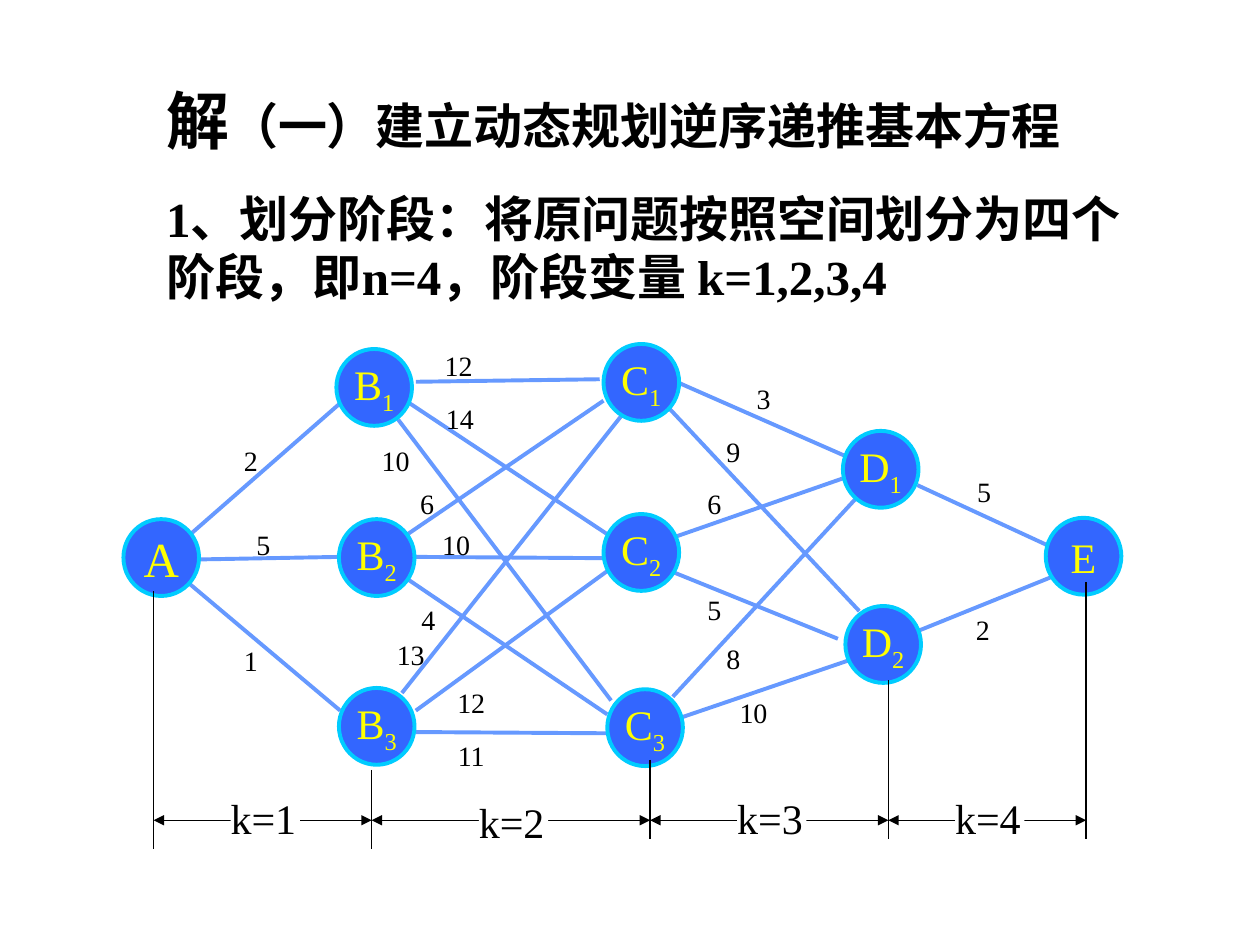
from dataclasses import dataclass
from itertools import pairwise

from lxml.etree import SubElement
from pptx import Presentation
from pptx.dml.color import RGBColor
from pptx.enum.shapes import MSO_CONNECTOR, MSO_SHAPE
from pptx.enum.text import MSO_ANCHOR, PP_ALIGN
from pptx.oxml.ns import qn
from pptx.util import Inches, Pt


@dataclass(frozen=True)
class Theme:
    font: str = "Times New Roman"
    black: RGBColor = RGBColor(0, 0, 0)
    white: RGBColor = RGBColor(255, 255, 255)
    edge: RGBColor = RGBColor(0x66, 0x99, 0xFF)
    node_fill: RGBColor = RGBColor(0x33, 0x66, 0xFF)
    node_line: RGBColor = RGBColor(0x00, 0xCC, 0xFF)
    node_text: RGBColor = RGBColor(0xFF, 0xFF, 0x00)
    heading_size: Pt = Pt(36)
    body_size: Pt = Pt(28)
    node_size: Pt = Pt(24)
    cost_size: Pt = Pt(16)
    thick: Pt = Pt(2.25)
    thin: Pt = Pt(0.75)


THEME = Theme()


def add_line(shapes, x1, y1, x2, y2, color, width):
    line = shapes.add_connector(
        MSO_CONNECTOR.STRAIGHT, Inches(x1), Inches(y1), Inches(x2), Inches(y2))
    line.line.color.rgb = color
    line.line.width = width
    SubElement(line._element.spPr, qn("a:effectLst"))
    return line


def style_text(shape, size, color, align, margins=(0, 0)):
    """Set margins (sides, top and bottom) and the font of every paragraph."""
    frame = shape.text_frame
    frame.margin_left = frame.margin_right = Inches(margins[0])
    frame.margin_top = frame.margin_bottom = Inches(margins[1])
    for paragraph in frame.paragraphs:
        paragraph.alignment = align
        paragraph.font.name = THEME.font
        paragraph.font.size = size
        paragraph.font.color.rgb = color
    return frame


presentation = Presentation()
presentation.slide_width = Inches(10)
presentation.slide_height = Inches(7.5)
slide = presentation.slides.add_slide(presentation.slide_layouts[6])

# Each edge: start, end, cost, left and top of the cost label
edges = [
    ((1.5, 4.25), (2.7, 3.2), "2", 1.83, 3.52),
    ((1.59, 4.44), (2.7, 4.42), "5", 1.93, 4.19),
    ((1.5, 4.63), (2.7, 5.64), "1", 1.83, 5.11),
    ((3.3, 3.03), (4.76, 3.01), "12", 3.48, 2.77),
    ((3.22, 3.18), (4.85, 4.26), "14", 3.49, 3.19),
    ((3.16, 3.33), (4.85, 5.56), "10", 2.98, 3.52),
    ((3.22, 4.25), (4.79, 3.18), "6", 3.23, 3.86),
    ((3.3, 4.42), (4.79, 4.43), "10", 3.46, 4.19),
    ((3.24, 4.6), (4.82, 5.67), "4", 3.24, 4.78),
    ((3.19, 5.5), (4.94, 3.29), "13", 3.1, 5.06),
    ((3.3, 5.64), (4.85, 4.51), "12", 3.58, 5.44),
    ((3.3, 5.81), (4.82, 5.82), "11", 3.58, 5.86),
    ((5.39, 3.04), (6.71, 3.62), "3", 5.9, 3.03),
    ((5.31, 3.24), (6.82, 4.85), "9", 5.66, 3.45),
    ((5.36, 4.26), (6.71, 3.79), "6", 5.51, 3.86),
    ((5.34, 4.54), (6.65, 5.07), "5", 5.51, 4.7),
    ((5.34, 5.53), (6.79, 3.96), "8", 5.66, 5.09),
    ((5.39, 5.7), (6.74, 5.24), "10", 5.82, 5.52),
    ((7.28, 3.85), (8.34, 4.34), "5", 7.65, 3.77),
    ((7.28, 5.01), (8.37, 4.57), "2", 7.64, 4.86),
]
nodes = [
    ("A", "", 0.98, 4.12),
    ("B", "1", 2.67, 2.77), ("B", "2", 2.69, 4.12), ("B", "3", 2.69, 5.46),
    ("C", "1", 4.79, 2.73), ("C", "2", 4.79, 4.08), ("C", "3", 4.82, 5.47),
    ("D", "1", 6.69, 3.42), ("D", "2", 6.71, 4.81),
    ("E", "", 8.3, 4.11),
]

network = slide.shapes.add_group_shape().shapes
for start, end, *_ in edges:
    add_line(network, *start, *end, THEME.edge, THEME.thick)

for *_, cost, left, top in edges:
    label = network.add_textbox(Inches(left), Inches(top), Inches(0.32), Inches(0.33))
    label.text_frame.text = cost
    label.text_frame.word_wrap = True
    style_text(label, THEME.cost_size, THEME.black, PP_ALIGN.CENTER)

for letter, index, left, top in nodes:
    node = network.add_shape(
        MSO_SHAPE.OVAL, Inches(left), Inches(top), Inches(0.6), Inches(0.61))
    node.shadow.inherit = False
    node.fill.solid()
    node.fill.fore_color.rgb = THEME.node_fill
    node.line.color.rgb = THEME.node_line
    node.line.width = THEME.thick
    node.text_frame.text = letter
    size = THEME.body_size if letter == "A" else THEME.node_size
    frame = style_text(node, size, THEME.node_text, PP_ALIGN.CENTER)
    frame.vertical_anchor = MSO_ANCHOR.MIDDLE
    if index:
        subscript = frame.paragraphs[0].add_run()
        subscript.text = index
        subscript.font._element.set("baseline", "-25000")

# Stage boundaries: x, top, bottom
boundaries = [
    (1.22, 4.69, 6.74), (2.95, 6.11, 6.74), (5.16, 6.03, 6.66),
    (7.05, 5.4, 6.66), (8.62, 4.62, 6.66),
]
for x, top, bottom in boundaries:
    add_line(slide.shapes, x, top, x, bottom, THEME.black, THEME.thin)

for (left, *_), (right, *_) in pairwise(boundaries):
    arrow = add_line(slide.shapes, left, 6.51, right, 6.51, THEME.black, THEME.thin)
    for end in ("a:headEnd", "a:tailEnd"):
        SubElement(arrow.line._get_or_add_ln(), qn(end), type="triangle")

stage_labels = [(1.83, 6.24), (3.8, 6.27), (5.85, 6.24), (7.58, 6.24)]
for stage, (left, top) in enumerate(stage_labels, start=1):
    label = slide.shapes.add_textbox(
        Inches(left), Inches(top), Inches(0.55), Inches(0.5))
    label.fill.solid()
    label.fill.fore_color.rgb = THEME.white
    label.text_frame.text = f"k={stage}"
    label.text_frame.word_wrap = True
    style_text(label, THEME.node_size, THEME.black, PP_ALIGN.LEFT, (0, 0.05))

explanation = slide.shapes.add_textbox(
    Inches(1.22), Inches(0.6), Inches(7.88), Inches(1.88))
explanation.text_frame.text = (
    "解\n1、划分阶段：将原问题按照空间划分为四个阶段，即n=4，阶段变量 k=1,2,3,4")
explanation.text_frame.word_wrap = True
frame = style_text(
    explanation, THEME.body_size, THEME.black, PP_ALIGN.LEFT, (0.1, 0.05))
heading, division = frame.paragraphs
heading.runs[0].font.size = THEME.heading_size
heading.add_run().text = "（一）建立动态规划逆序递推基本方程"
division.space_before = Pt(17.5)
for paragraph in frame.paragraphs:
    paragraph.font.bold = True

presentation.save("out.pptx")
